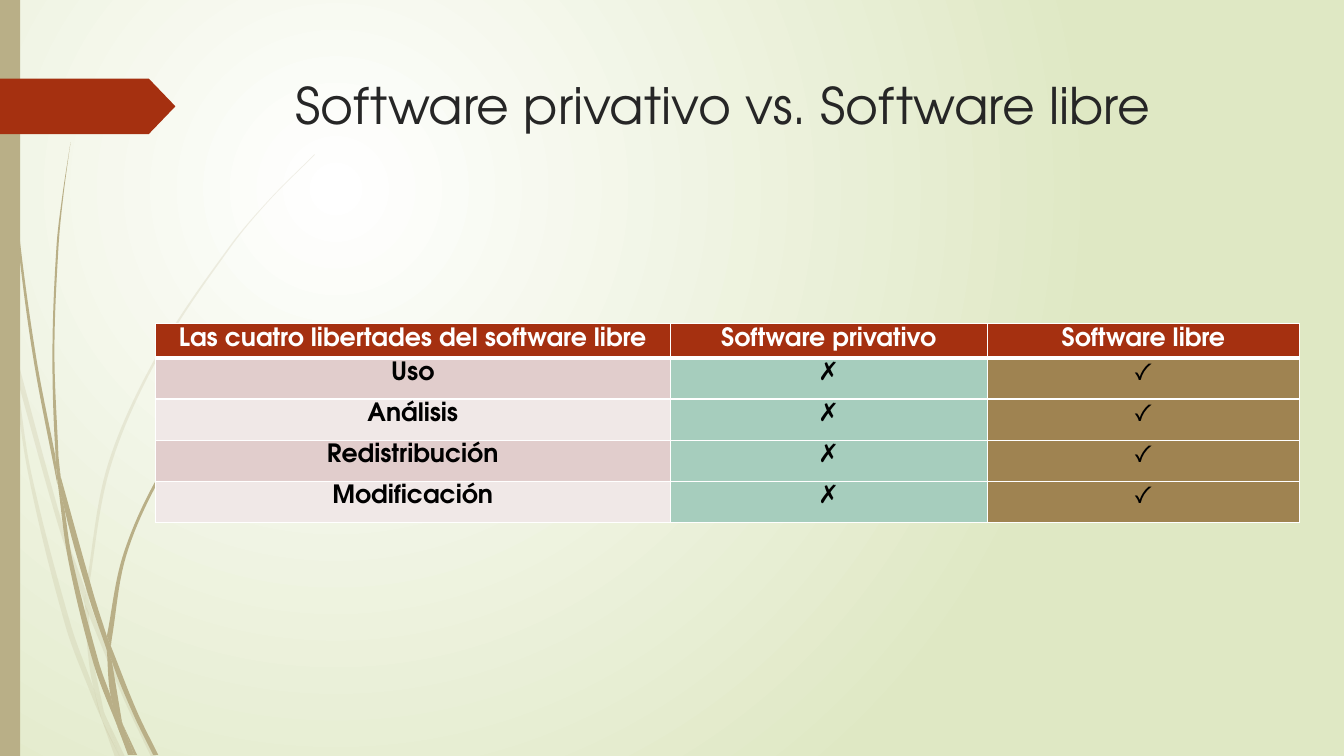
from dataclasses import dataclass
from math import dist

from lxml.etree import SubElement
from pptx import Presentation
from pptx.dml.color import RGBColor
from pptx.enum.shapes import MSO_SHAPE
from pptx.enum.text import MSO_ANCHOR, PP_ALIGN
from pptx.oxml import parse_xml
from pptx.oxml.ns import nsdecls, qn
from pptx.util import Inches, Pt


@dataclass(frozen=True)
class Theme:
    font: str = "TeX Gyre Adventor"
    title_size: int = 36
    table_size: int = 18
    white: str = "FFFFFF"
    black: str = "000000"
    title: str = "262626"
    meadow: str = "DFE8C4"
    straw: str = "B9AF87"
    rust: str = "A53010"
    bands: tuple = ("E1CDCC", "F0E8E7")
    closed: str = "A6CDBD"
    free: str = "9F8351"
    faint: int = 20


THEME = Theme()
W, H = 13.33, 7.5

# Each leaf is one edge followed by the edge that leads back, in inches.
FAINT_LEAVES = [
    ([(0, 2.82), (.09, 3.22), (.11, 3.5)], [(.1, 3.44), (0, 2.99)]),
    ([(.14, 3.45), (.62, 5.2), (.85, 5.86)], [(.84, 5.99), (.58, 5.22), (.17, 3.76)]),
    ([(.88, 5.96), (.92, 6.07), (1.27, 6.92), (1.55, 7.51)],
     [(1.5, 7.51), (1.23, 6.94), (.88, 6.1)]),
    ([(1.05, 7.11), (1.24, 7.51)], [(1.19, 7.51)]),
    ([(.11, 3.5), (.28, 4.7), (.65, 6.21), (.92, 6.93), (1.01, 7.14)],
     [(.93, 6.83), (.7, 6.19), (.31, 4.69), (.17, 3.76)]),
    ([(.84, 5.99), (.87, 6.46), (.93, 6.83), (1.05, 7.11)],
     [(1.03, 7.06), (.91, 6.46), (.88, 6.08)]),
    ([(3.12, 1.53), (2.68, 1.97), (2.28, 2.44), (1.58, 3.48), (1.07, 4.61), (.85, 5.84)],
     [(.88, 5.96), (.88, 5.84), (1.1, 4.62), (1.6, 3.49), (2.29, 2.45), (2.68, 1.98), (3.12, 1.54)]),
    ([(1.01, 7.14), (1.14, 7.51)], [(1.19, 7.51)]),
    ([(.85, 5.86), (.84, 5.99), (.88, 6.1)], [(.88, 5.96)]),
    ([(.93, 6.83), (1.01, 7.14), (1.19, 7.51)], [(1.05, 7.11), (.96, 6.92)]),
]
SOLID_LEAVES = [
    ([(.03, 0), (.07, 1.1), (.17, 2.33), (.33, 3.55), (.57, 4.81)],
     [(.55, 4.53), (.36, 3.55), (.19, 2.32), (.08, 1.09), (.04, 0)]),
    ([(.6, 4.72), (.64, 5.05), (.88, 5.92), (1.06, 6.45)], [(1.06, 6.31), (.93, 5.9), (.6, 4.72)]),
    ([(1.1, 6.41), (1.11, 6.56), (1.32, 7.08), (1.52, 7.49)],
     [(1.57, 7.49), (1.36, 7.06), (1.1, 6.41)]),
    ([(.57, 4.77), (.68, 5.57), (.93, 6.59), (1.17, 7.22)],
     [(1.1, 6.91), (.98, 6.57), (.72, 5.56), (.64, 5.05)]),
    ([(.7, 1.41), (.62, 1.93), (.56, 2.45), (.52, 3.49), (.55, 4.49), (.6, 4.72)],
     [(.58, 4.53), (.54, 3.49), (.58, 2.45), (.63, 1.93), (.7, 1.41)]),
    ([(1.22, 7.19), (1.33, 7.49)], [(1.36, 7.49)]),
    ([(.55, 4.49), (.57, 4.77), (.64, 5.05)], [(.6, 4.72)]),
    ([(2.6, 3.44), (2.31, 3.73), (2.04, 4.05), (1.56, 4.74), (1.22, 5.51), (1.06, 6.31)],
     [(1.1, 6.41), (1.11, 6.33), (1.25, 5.52), (1.58, 4.76), (2.05, 4.06), (2.31, 3.74), (2.61, 3.44)]),
    ([(1.17, 7.22), (1.27, 7.49)], [(1.31, 7.49)]),
    ([(1.06, 6.45), (1.1, 6.91), (1.22, 7.19)], [(1.21, 7.16), (1.11, 6.56)]),
    ([(1.06, 6.31), (1.06, 6.45), (1.11, 6.56)], [(1.1, 6.41)]),
    ([(1.1, 6.91), (1.17, 7.22), (1.3, 7.49)], [(1.33, 7.49), (1.22, 7.19), (1.16, 7.06)]),
]
HEADINGS = ["Las cuatro libertades del software libre", "Software privativo", "Software libre"]
FREEDOMS = ["Uso", "Análisis", "Redistribución", "Modificación"]


def rgb(color):
    return RGBColor.from_string(color)


def paint(sp, color, alpha=100):
    sp.shadow.inherit = False
    sp.fill.solid()
    sp.fill.fore_color.rgb = rgb(color)
    sp.line.fill.background()
    if alpha < 100:
        clr = sp._element.spPr.find(qn("a:solidFill"))[0]
        SubElement(clr, qn("a:alpha"), val=str(alpha * 1000))


def write(tf, text, size, color, bold=False, align=PP_ALIGN.LEFT):
    tf.text = text
    p = tf.paragraphs[0]
    p.alignment = align
    font = p.runs[0].font
    font.name, font.size, font.bold = THEME.font, Pt(size), bold
    font.color.rgb = rgb(color)


def handle(before, at, after, length):
    """Bezier handle at a point, along the chord of its neighbours."""
    reach = length / 3 / (dist(before, after) or 1)
    return tuple(v + (q - p) * reach for p, v, q in zip(before, at, after))


def bend(sp, edges):
    """Turn the lines along each edge into curves; lines between edges stay."""
    lines = sp._element.findall(".//" + qn("a:lnTo"))
    i = 0
    for edge in edges:
        padded = [edge[0], *edge, edge[-1]]
        for a, b, c, d in zip(padded, padded[1:], padded[2:], padded[3:]):
            length = dist(b, c)
            curve = parse_xml(f'<a:cubicBezTo {nsdecls("a")}/>')
            for x, y in (handle(a, b, c, length), handle(d, c, b, length), c):
                SubElement(curve, qn("a:pt"), x=str(round(x - sp.left)), y=str(round(y - sp.top)))
            lines[i].getparent().replace(lines[i], curve)
            i += 1
        i += 1


def add_background(s):
    fill = s.background.fill
    fill.gradient()
    for stop, color in zip(fill.gradient_stops, (THEME.white, THEME.meadow)):
        stop.color.rgb = rgb(color)
    grad = s._element.find(".//" + qn("a:gradFill"))
    grad.replace(grad.find(qn("a:lin")), parse_xml(
        f'<a:path {nsdecls("a")} path="circle">'
        '<a:fillToRect l="50000" t="50000" r="100000" b="100000"/></a:path>'))


def add_grass(s, left, top, leaves, alpha=100):
    group = s.shapes.add_group_shape()
    for leaf in leaves:
        edges = [[(Inches(left + x), Inches(top + y)) for x, y in edge] for edge in leaf]
        outline = edges[0] + edges[1]
        builder = group.shapes.build_freeform(*outline[0])
        builder.add_line_segments(outline[1:], close=True)
        sp = builder.convert_to_shape()
        bend(sp, edges)
        paint(sp, THEME.straw, alpha)


def add_block(s, preset, color, left, top, width, height):
    sp = s.shapes.add_shape(preset, *map(Inches, (left, top, width, height)))
    paint(sp, color)
    return sp


def add_title(s, left, top, width, height, text):
    tf = s.shapes.add_textbox(*map(Inches, (left, top, width, height))).text_frame
    tf.word_wrap = True
    write(tf, text, THEME.title_size, THEME.title)


def add_borders(cell, bottom):
    tc_pr = cell._tc.get_or_add_tcPr()
    for i, (side, width) in enumerate(zip("LRTB", (1, 1, 1, bottom))):
        tc_pr.insert(i, parse_xml(
            f'<a:ln{side} {nsdecls("a")} w="{Pt(width)}"><a:solidFill>'
            f'<a:srgbClr val="{THEME.white}"/></a:solidFill></a:ln{side}>'))


def add_comparison(s, left, top, width, height):
    rows = [HEADINGS] + [[name, "✗", "✓"] for name in FREEDOMS]
    table = s.shapes.add_table(len(rows), len(HEADINGS),
                               *map(Inches, (left, top, width, height))).table
    table.horz_banding = False
    for col, share in zip(table.columns, (0.45, 0.277, 0.273)):
        col.width = Inches(width * share)
    for i, row in enumerate(rows):
        table.rows[i].height = Inches(height * (0.14 if i == 0 else 0.215))
        fills = ((THEME.rust,) * 3 if i == 0 else
                 (THEME.bands[(i - 1) % 2], THEME.closed, THEME.free))
        for j, (text, fill) in enumerate(zip(row, fills)):
            cell = table.cell(i, j)
            cell.margin_top, cell.margin_bottom = Inches(0.04), 0
            cell.margin_left = cell.margin_right = Inches(0.07)
            cell.vertical_anchor = MSO_ANCHOR.TOP
            cell.fill.solid()
            cell.fill.fore_color.rgb = rgb(fill)
            add_borders(cell, bottom=3 if i == 0 else 1)
            write(cell.text_frame, text, THEME.table_size,
                  THEME.black if i else THEME.white,
                  bold=i == 0 or j == 0, align=PP_ALIGN.CENTER)


def main():
    prs = Presentation()
    prs.slide_width, prs.slide_height = Inches(W), Inches(H)
    s = prs.slides.add_slide(prs.slide_layouts[6])
    add_background(s)
    add_grass(s, 0, 0, FAINT_LEAVES, THEME.faint)
    add_grass(s, 0, 0, SOLID_LEAVES)
    add_block(s, MSO_SHAPE.RECTANGLE, THEME.straw, 0, 0, 0.2, H)
    tab = add_block(s, MSO_SHAPE.PENTAGON, THEME.rust, 0, 0.78, 1.74, 0.55)
    tab.adjustments[0] = 0.48
    add_title(s, 2.83, 0.69, 9.75, 1.4, "Software privativo vs. Software libre")
    add_comparison(s, 1.54, 3.21, 11.35, 1.9)
    prs.save("out.pptx")


if __name__ == "__main__":
    main()
